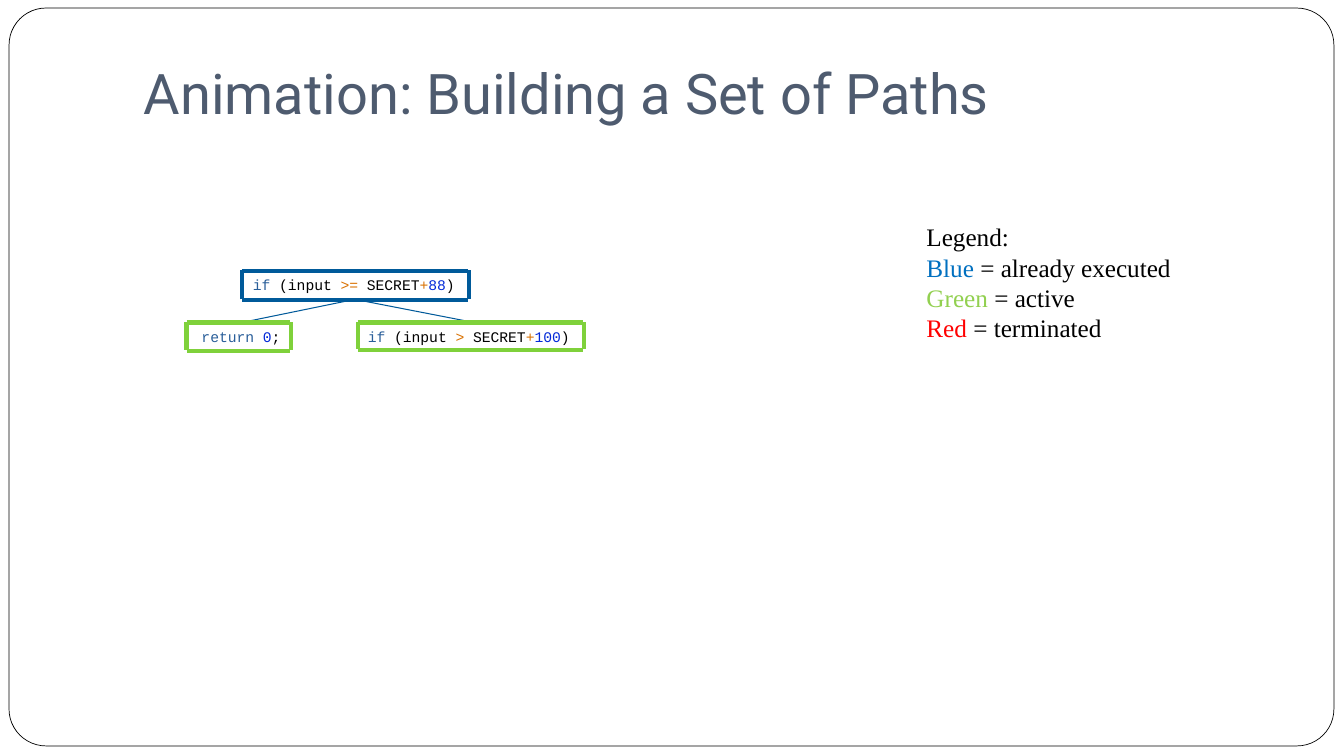
from dataclasses import dataclass

import lxml.etree
import pptx
import pptx.dml.color
import pptx.enum.shapes
import pptx.enum.text
import pptx.oxml.ns
import pptx.util

Inches = pptx.util.Inches
Pt = pptx.util.Pt
SHAPES = pptx.enum.shapes
TEXT = pptx.enum.text


@dataclass(frozen=True)
class Theme:
    paper: str = "FFFFFF"
    ink: str = "000000"
    title: str = "4E5B6F"
    keyword: str = "295E99"
    operator: str = "D97100"
    number: str = "0329D8"
    executed: str = "005A9A"
    active: str = "7FD13B"
    legend_blue: str = "0070C0"
    legend_green: str = "92D050"
    legend_red: str = "FF0000"
    title_font: tuple = ("Roboto", 40)
    code_font: tuple = ("Courier New", 10.5)
    legend_font: tuple = ("Times New Roman", 18)


class SlideBuilder:
    def __init__(self, slide, theme):
        self.slide = slide
        self.theme = theme

    def color(self, role):
        return pptx.dml.color.RGBColor.from_string(getattr(self.theme, role))

    def apply(self, target, formats):
        for attribute, value in formats.items():
            setattr(target, attribute, value)

    def border(self, left, top, width, height):
        border = self.slide.shapes.add_shape(
            SHAPES.MSO_SHAPE.ROUNDED_RECTANGLE,
            Inches(left), Inches(top), Inches(width), Inches(height))
        border.adjustments[0] = 0.05
        border.shadow.inherit = False
        border.fill.solid()
        border.fill.fore_color.rgb = self.color("paper")
        border.line.color.rgb = self.color("ink")
        border.line.width = Pt(0.5)

    def text(self, left, top, width, height, lines, font, formats):
        box = self.slide.shapes.add_textbox(
            Inches(left), Inches(top), Inches(width), Inches(height))
        frame = box.text_frame
        self.apply(frame, formats)
        name, size = font
        for index, line in enumerate(lines):
            paragraph = frame.add_paragraph() if index else frame.paragraphs[0]
            for words, role in line:
                run = paragraph.add_run()
                run.text = words
                self.apply(run.font, {"name": name, "size": Pt(size)})
                run.font.color.rgb = self.color(role)
        return box

    def line(self, start, end, role, weight):
        line = self.slide.shapes.add_connector(
            SHAPES.MSO_CONNECTOR.STRAIGHT,
            *(Inches(value) for value in (*start, *end)))
        line.line.color.rgb = self.color(role)
        line.line.width = Pt(weight)
        lxml.etree.SubElement(line._element.spPr, pptx.oxml.ns.qn("a:effectLst"))
        return line

    def branch(self, parent, child):
        branch = self.line((0, 0), (1, 1), "executed", 0.75)
        branch.begin_connect(parent, 2)
        branch.end_connect(child, 0)

    def outline(self, left, top, right, bottom, role):
        for x in (left, right):
            self.line((x, bottom - 0.01), (x, top - 0.01), role, 3)
        for y in (top, bottom):
            self.line((left, y), (right - 0.01, y), role, 3)


def condition(operator, limit):
    return [("if", "keyword"), (" (input ", "ink"), (operator, "operator"),
            (" SECRET", "ink"), ("+", "operator"), (limit, "number"), (")", "ink")]


def main():
    presentation = pptx.Presentation()
    presentation.slide_width = Inches(13.33)
    presentation.slide_height = Inches(7.5)
    theme = Theme()
    builder = SlideBuilder(
        presentation.slides.add_slide(presentation.slide_layouts[6]), theme)

    builder.border(0.09, 0.08, 13.14, 7.32)
    builder.text(
        1.33, 0.13, 11.33, 1.22,
        [[("Animation: Building a Set of Paths", "title")]], theme.title_font,
        {"word_wrap": True, "vertical_anchor": TEXT.MSO_ANCHOR.BOTTOM,
         "margin_bottom": Inches(0.1)})

    fitted = {"word_wrap": False, "auto_size": TEXT.MSO_AUTO_SIZE.SHAPE_TO_FIT_TEXT}
    stop_code = [("return ", "keyword"), ("0", "number"), (";", "ink")]
    root, stop, deeper = [
        builder.text(left, top, width, 0.28, [code], theme.code_font, fitted)
        for left, top, width, code in (
            (2.41, 2.69, 2.22, condition(">=", "88")),
            (1.9, 3.2, 0.99, stop_code),
            (3.55, 3.2, 2.31, condition(">", "100")))]

    for child in (deeper, stop):
        builder.branch(root, child)
    for left, top, right, bottom, state in (
            (2.4, 2.69, 4.65, 2.98, "executed"),
            (3.55, 3.2, 5.79, 3.47, "active"),
            (1.85, 3.2, 2.89, 3.48, "active")):
        builder.outline(left, top, right, bottom, state)

    legend = [[("Legend:", "ink")]] + [
        [(name, role), (f" = {meaning}", "ink")]
        for name, role, meaning in (
            ("Blue", "legend_blue", "already executed"),
            ("Green", "legend_green", "active"),
            ("Red", "legend_red", "terminated"))]
    builder.text(9.09, 2.15, 2.65, 1.31, legend, theme.legend_font, fitted)

    presentation.save("out.pptx")


if __name__ == "__main__":
    main()
